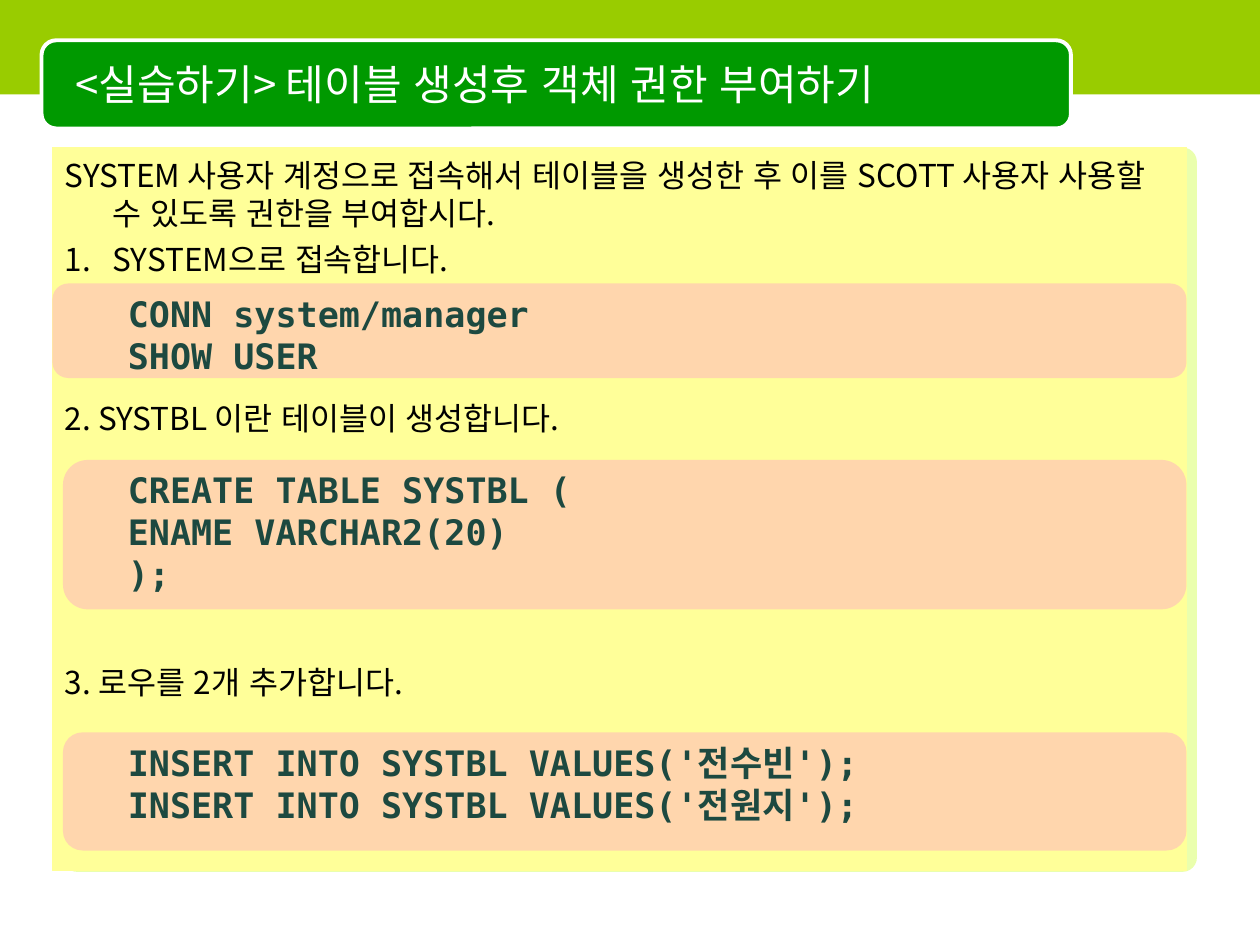
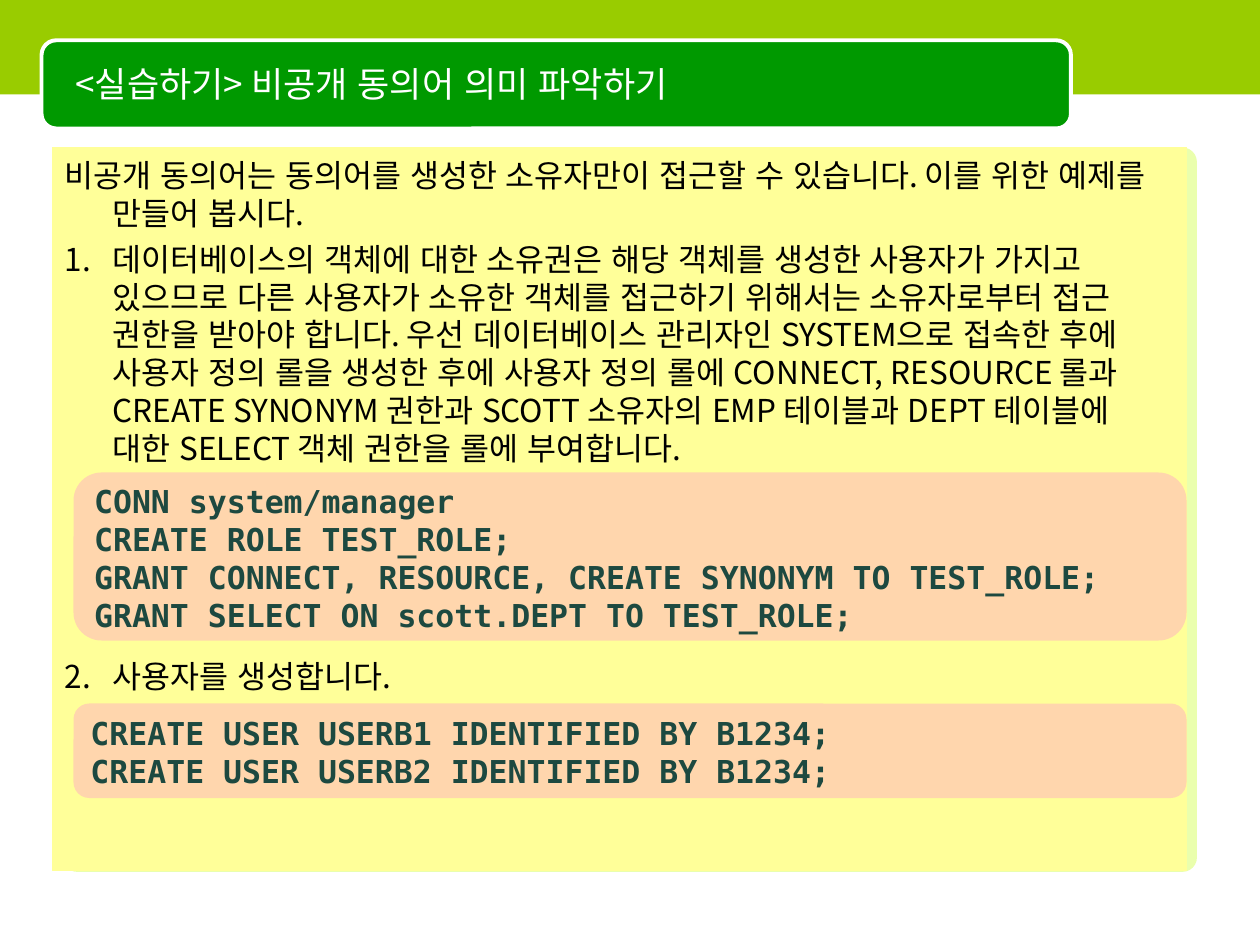
from pptx import Presentation
from pptx.dml.color import RGBColor
from pptx.enum.lang import MSO_LANGUAGE_ID as Language
from pptx.enum.shapes import MSO_SHAPE as Preset
from pptx.enum.text import MSO_ANCHOR as Anchor, PP_ALIGN as Align
from pptx.oxml.ns import qn
from pptx.util import Pt
from lxml.etree import SubElement

# Colours
WHITE = RGBColor(0xFF, 0xFF, 0xFF)
BLACK = RGBColor(0x00, 0x00, 0x00)
BAND_GREEN = RGBColor(0x99, 0xCC, 0x00)
TITLE_GREEN = RGBColor(0x00, 0x99, 0x00)
LIME = RGBColor(0xCC, 0xFF, 0x33)
PALE_YELLOW = RGBColor(0xFF, 0xFF, 0x99)
PINK = RGBColor(0xFF, 0x99, 0xCC)
CODE_GREEN = RGBColor(0x1D, 0x49, 0x40)

# Fonts and shared measures, in points
TEXT_FONT = "Noto Sans CJK KR"
CODE_FONT = "DejaVu Sans Mono"
LINE_FACTOR = 1.2
BODY_SIZE = 18
HANGING = 27.36
STEP_GAP = 4.5
CARD_RIGHT = 678


def set_opacity(shape, percent):
    color = shape.fill._xPr.find(qn("a:solidFill"))[0]
    SubElement(color, qn("a:alpha"), val=str(percent * 1000))


def add_box(shapes, preset, box, fill, line=None, line_width=0.75,
            opacity=None, corner=None):
    shape = shapes.add_shape(preset, *map(Pt, box))
    shape.shadow.inherit = False
    shape.fill.solid()
    shape.fill.fore_color.rgb = fill
    if opacity:
        set_opacity(shape, opacity)
    if line is None:
        shape.line.fill.background()
    else:
        shape.line.color.rgb = line
        shape.line.width = Pt(line_width)
    if corner:
        shape.adjustments[0] = corner
    return shape


def style_paragraph(paragraph, font_name, size, color, bold=False):
    paragraph.alignment = Align.LEFT
    font = paragraph.font
    font.name, font.size, font.bold = font_name, Pt(size), bold
    font.color.rgb = color
    font.language_id = Language.KOREAN
    SubElement(font._rPr, qn("a:ea"), typeface=TEXT_FONT)


def prepare_frame(shape, anchor, top_inset=3.6):
    frame = shape.text_frame
    frame.word_wrap = True
    frame.vertical_anchor = anchor
    frame.margin_top = Pt(top_inset)
    return frame


def add_paragraphs(frame, texts):
    for index, text in enumerate(texts):
        paragraph = frame.paragraphs[0] if index == 0 else frame.add_paragraph()
        paragraph.text = text
        yield paragraph


def add_base(slide, title, title_size):
    """Side panel, top band and title plate."""
    shapes = slide.shapes
    add_box(shapes, Preset.ROUNDED_RECTANGLE, (36, 84.24, 648, 414), LIME,
            opacity=40, corner=0.02)
    add_box(shapes, Preset.RECTANGLE, (0, 0, 720, 54), BAND_GREEN)
    add_box(shapes, Preset.ROUNDED_RECTANGLE, (23.76, 23.04, 588.24, 50.4),
            TITLE_GREEN, line=WHITE, line_width=2.25)
    title_box = shapes.add_textbox(Pt(36), Pt(25.2), Pt(570), Pt(44.64))
    frame = prepare_frame(title_box, Anchor.MIDDLE)
    for paragraph in add_paragraphs(frame, [title]):
        style_paragraph(paragraph, TEXT_FONT, title_size, WHITE)


def add_steps(slide, steps):
    """Yellow panel; each step is (text, space before, numbered)."""
    panel = add_box(slide.shapes, Preset.RECTANGLE, (30, 84.24, 648, 413.28),
                    PALE_YELLOW, line=PALE_YELLOW)
    frame = prepare_frame(panel, Anchor.TOP, 5.1)
    paragraphs = add_paragraphs(frame, [text for text, _, _ in steps])
    for paragraph, (_, gap, numbered) in zip(paragraphs, steps):
        paragraph.space_before = Pt(gap)
        paragraph.line_spacing = Pt(BODY_SIZE * LINE_FACTOR)
        properties = paragraph._p.get_or_add_pPr()
        properties.set("marL", str(Pt(HANGING)))
        properties.set("indent", str(-Pt(HANGING)))
        if numbered:
            SubElement(properties, qn("a:buFont"), typeface=TEXT_FONT)
            SubElement(properties, qn("a:buAutoNum"), type="arabicPeriod")
        style_paragraph(paragraph, TEXT_FONT, BODY_SIZE, BLACK)


def add_card(shapes, left, top, height):
    return add_box(shapes, Preset.ROUNDED_RECTANGLE,
                   (left, top, CARD_RIGHT - left, height), PINK, opacity=40)


def write_code(shape, lines, size, anchor):
    frame = prepare_frame(shape, anchor, 5)
    for paragraph in add_paragraphs(frame, lines):
        paragraph.line_spacing = Pt(size * LINE_FACTOR)
        style_paragraph(paragraph, CODE_FONT, size, CODE_GREEN, bold=True)


def add_indented_code(slide, left, top, height, lines):
    """Card grouped with a text box that starts further right."""
    group = slide.shapes.add_group_shape()
    add_card(group.shapes, left, top, height)
    text_box = group.shapes.add_textbox(Pt(66), Pt(top), Pt(612), Pt(height))
    write_code(text_box, lines, 20, Anchor.TOP)


def add_code_card(slide, top, height, lines):
    card = add_card(slide.shapes, 42, top, height)
    write_code(card, lines, 18, Anchor.MIDDLE)


def build_grant_slide(slide):
    add_base(slide, "<실습하기> 테이블 생성후 객체 권한 부여하기", 24)
    add_steps(slide, [
        ("SYSTEM 사용자 계정으로 접속해서 테이블을 생성한 후 이를 SCOTT 사용자 "
         "사용할 수 있도록 권한을 부여합시다.", STEP_GAP, False),
        ("SYSTEM으로 접속합니다.", STEP_GAP, True),
        ("2. SYSTBL 이란 테이블이 생성합니다.", 69.3, False),
        ("3. 로우를 2개 추가합니다.", 129.6, False),
    ])
    add_indented_code(slide, 30, 162, 54, ["CONN system/manager", "SHOW USER"])
    add_indented_code(slide, 36, 262.8, 85.4, [
        "CREATE TABLE SYSTBL (", "ENAME VARCHAR2(20)", ");"])
    add_indented_code(slide, 36, 418.5, 67.5, [
        f"INSERT INTO SYSTBL VALUES('{name}');" for name in ("전수빈", "전원지")])


def build_synonym_slide(slide):
    add_base(slide, "<실습하기> 비공개 동의어 의미 파악하기", 20)
    add_steps(slide, [
        ("비공개 동의어는 동의어를 생성한 소유자만이 접근할 수 있습니다. "
         "이를 위한 예제를 만들어 봅시다.", STEP_GAP, False),
        ("데이터베이스의 객체에 대한 소유권은 해당 객체를 생성한 사용자가 가지고 "
         "있으므로 다른 사용자가 소유한 객체를 접근하기 위해서는 소유자로부터 접근 "
         "권한을 받아야 합니다. 우선 데이터베이스 관리자인 SYSTEM으로 접속한 후에 "
         "사용자 정의 롤을 생성한 후에 사용자 정의 롤에 CONNECT, RESOURCE 롤과 "
         "CREATE SYNONYM 권한과 SCOTT 소유자의 EMP 테이블과 DEPT 테이블에 "
         "대한 SELECT 객체 권한을 롤에 부여합니다.", STEP_GAP, True),
        ("사용자를 생성합니다.", 108.9, True),
    ])
    add_code_card(slide, 270, 96, [
        "CONN system/manager",
        "CREATE ROLE TEST_ROLE;",
        "GRANT CONNECT, RESOURCE, CREATE SYNONYM TO TEST_ROLE;",
        "GRANT SELECT ON scott.DEPT TO TEST_ROLE;",
    ])
    add_code_card(slide, 402, 54, [
        f"CREATE USER {user} IDENTIFIED BY B1234;" for user in ("USERB1", "USERB2")])


def main():
    presentation = Presentation()
    presentation.slide_width, presentation.slide_height = Pt(720), Pt(540)
    blank = presentation.slide_layouts[6]
    for build in (build_grant_slide, build_synonym_slide):
        build(presentation.slides.add_slide(blank))
    presentation.save("out.pptx")


if __name__ == "__main__":
    main()
